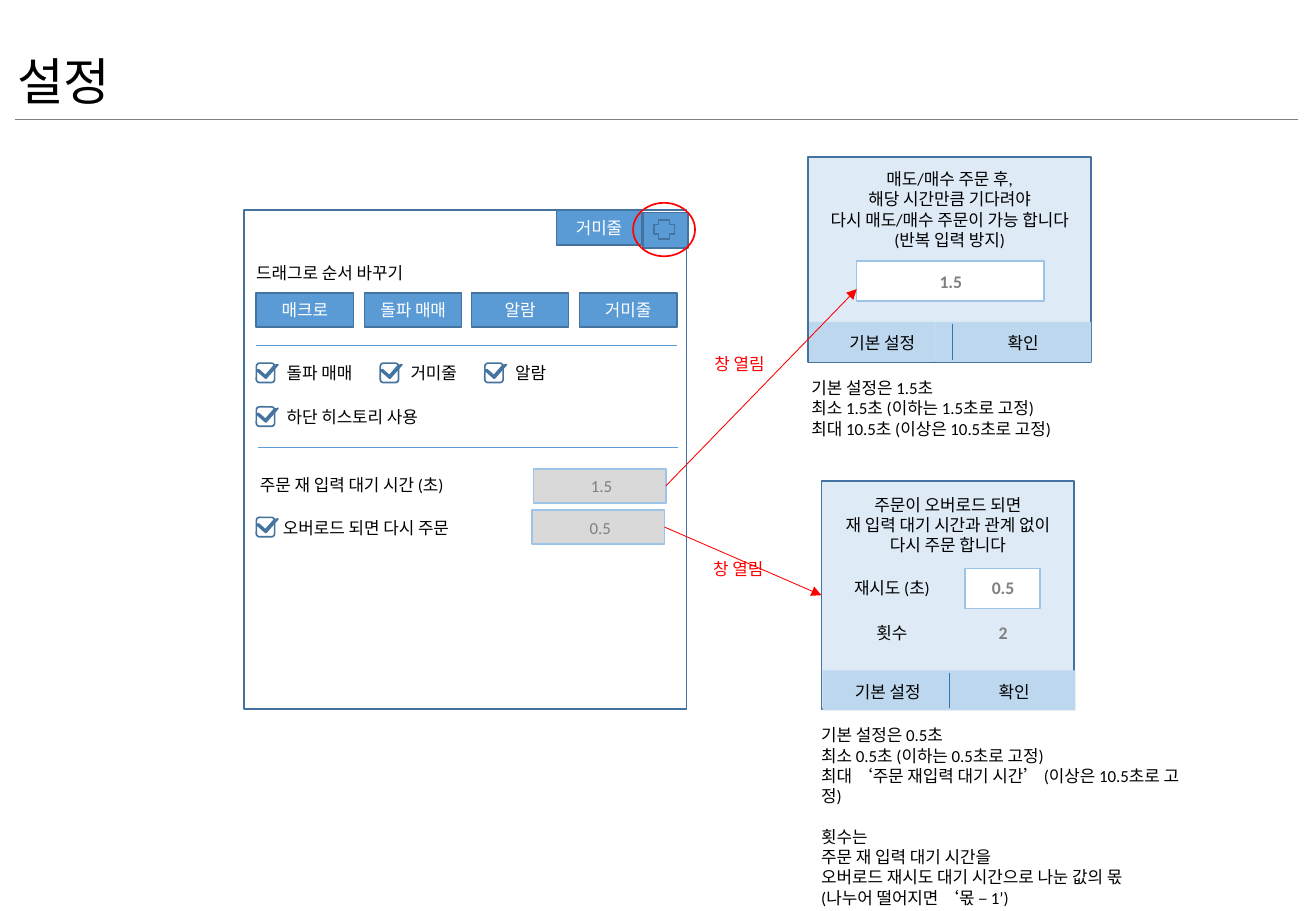
from lxml.etree import SubElement
from pptx import Presentation
from pptx.dml.color import RGBColor
from pptx.enum.shapes import MSO_CONNECTOR as Connector, MSO_SHAPE as Preset
from pptx.enum.text import MSO_ANCHOR as Anchor, MSO_AUTO_SIZE as AutoSize, PP_ALIGN as Align
from pptx.oxml.ns import qn
from pptx.util import Emu, Pt

PX = 9144
BLACK, WHITE, RED, GRAY = "000000", "FFFFFF", "FF0000", "808080"
BLUE, DARK_BLUE, FIELD_BLUE = "5B9BD5", "43739E", "9DC3E6"
PANEL, FOOTER, DIVIDER, DISABLED = "DEEBF7", "BDD7EE", "2E75B6", "D9D9D9"


def px(value):
    return Emu(value * PX)


def color(value):
    return RGBColor.from_string(value)


def write_text(shape, text, size=10, font="Calibri", ink=BLACK, bold=False,
               align=Align.LEFT, anchor=Anchor.TOP, gap_before=None):
    frame = shape.text_frame
    frame.word_wrap = True
    frame.vertical_anchor = anchor
    for index, line in enumerate(text.split("\n")):
        paragraph = frame.add_paragraph() if index else frame.paragraphs[0]
        paragraph.alignment = align
        if line == gap_before:
            paragraph.space_before = Pt(12)
        run = paragraph.add_run()
        run.text = line
        run.font.size = Pt(size)
        run.font.name = font
        run.font.bold = bold
        run.font.color.rgb = color(ink)


def add_label(slide, left, top, width, height, text, **style):
    box = slide.shapes.add_textbox(px(left), px(top), px(width), px(height))
    write_text(box, text, **style)
    box.text_frame.auto_size = AutoSize.SHAPE_TO_FIT_TEXT
    return box


def add_box(slide, left, top, width, height, fill=None, line=None, preset=Preset.RECTANGLE):
    shape = slide.shapes.add_shape(preset, px(left), px(top), px(width), px(height))
    shape.shadow.inherit = False
    if fill:
        shape.fill.solid()
        shape.fill.fore_color.rgb = color(fill)
    else:
        shape.fill.background()
    if line:
        shape.line.color.rgb = color(line)
        shape.line.width = Pt(1)
    else:
        shape.line.fill.background()
    return shape


def add_line(slide, start, end, ink, width=0.5):
    line = slide.shapes.add_connector(Connector.STRAIGHT, *map(px, start + end))
    line.line.color.rgb = color(ink)
    line.line.width = Pt(width)
    SubElement(line._element.spPr, qn("a:effectLst"))
    return line


def add_arrow(slide, start, end, source, target=None):
    arrow = add_line(slide, start, end, RED)
    SubElement(arrow.line._get_or_add_ln(), qn("a:tailEnd"), type="triangle")
    arrow.begin_connect(source, 3)
    if target is not None:
        arrow.end_connect(target, 1)


def add_tab(slide, left, top, width, height, text):
    tab = add_box(slide, left, top, width, height, BLUE, DARK_BLUE)
    write_text(tab, text, ink=WHITE, align=Align.CENTER, anchor=Anchor.MIDDLE)


def add_checkbox(slide, left, top, width, text, indent=15):
    add_box(slide, left, top, 15, 16, WHITE, DARK_BLUE, Preset.ROUNDED_RECTANGLE)
    add_label(slide, left + indent, top - 5, width, 27, text)
    mark = add_box(slide, left + 4, top - 4, 10, 15, BLUE, DARK_BLUE, Preset.HALF_FRAME)
    mark.adjustments[0] = 0.14
    mark.adjustments[1] = 0.17
    mark.rotation = 221.4


def add_waiting_field(slide, left, top, text):
    field = add_box(slide, left, top, 109, 28, DISABLED, FIELD_BLUE)
    add_label(slide, left + 11, top + 1, 90, 27, text, ink=GRAY, align=Align.CENTER)
    return field


def add_value(slide, left, top, width, text):
    add_label(slide, left, top, width, 28, text, size=10.5, ink=GRAY, bold=True,
              align=Align.CENTER)


def add_footer(slide, top, bars, label_lefts, label_width, divider):
    for (left, width), label_left, text in zip(bars, label_lefts, ("기본 설정", "확인")):
        add_box(slide, left, top, width, 33, FOOTER)
        add_label(slide, label_left, top + 4, label_width, 27, text, align=Align.CENTER)
    add_line(slide, (divider, top + 2), (divider, top + 31), DIVIDER)


def add_settings(slide):
    add_box(slide, 201, 173, 364, 411, line=DARK_BLUE)
    add_tab(slide, 458, 173, 70, 29, "거미줄")
    add_box(slide, 529, 175, 37, 29, BLUE, DARK_BLUE)
    add_box(slide, 538, 181, 17, 16, BLUE, DARK_BLUE, Preset.CROSS)
    add_box(slide, 521, 167, 51, 44, line=RED, preset=Preset.OVAL)
    add_label(slide, 201, 211, 168, 27, "드래그로 순서 바꾸기")
    for index, name in enumerate(("매크로", "돌파 매매", "알람", "거미줄")):
        add_tab(slide, round(211 + index * 88.7), 241, 80, 28, name)
    for left, top in ((211, 284), (212, 368)):
        add_line(slide, (left, top), (left + 346, top), BLUE)
    for left, name in ((211, "돌파 매매"), (313, "거미줄"), (399, "알람")):
        add_checkbox(slide, left, 299, 82, name)
    add_checkbox(slide, 211, 335, 162, "하단 히스토리 사용")
    add_label(slide, 204, 386, 180, 27, "주문 재 입력 대기 시간 (초)")
    add_checkbox(slide, 211, 426, 208, "오버로드 되면 다시 주문", indent=12)
    return add_waiting_field(slide, 439, 386, "1.5"), add_waiting_field(slide, 438, 420, "0.5")


def add_wait_dialog(slide):
    add_box(slide, 665, 129, 233, 169, PANEL, DARK_BLUE)
    add_label(slide, 665, 134, 233, 94,
              "매도/매수 주문 후,\n해당 시간만큼 기다려야\n"
              "다시 매도/매수 주문이 가능 합니다\n(반복 입력 방지)", align=Align.CENTER)
    add_box(slide, 705, 215, 154, 33, WHITE, FIELD_BLUE)
    add_value(slide, 730, 218, 105, "1.5")
    add_footer(slide, 265, ((666, 104), (770, 128)), (669, 785), 114, 784)
    add_label(slide, 658, 306, 226, 61,
              "기본 설정은 1.5초\n최소 1.5초 (이하는 1.5초로 고정)\n"
              "최대 10.5초 (이상은 10.5초로 고정)")


def add_overload_dialog(slide):
    panel = add_box(slide, 676, 396, 208, 188, PANEL, DARK_BLUE)
    add_label(slide, 676, 402, 208, 61,
              "주문이 오버로드 되면\n재 입력 대기 시간과 관계 없이\n다시 주문 합니다",
              align=Align.CENTER)
    add_box(slide, 794, 468, 62, 33, WHITE, FIELD_BLUE)
    for top, name, value in ((471, "재시도 (초)", "0.5"), (508, "횟수", "2")):
        add_label(slide, 682, top, 104, 27, name, align=Align.CENTER)
        add_value(slide, 795, top - 1, 61, value)
    add_footer(slide, 552, ((677, 104), (781, 104)), (680, 784), 101, 781)
    add_label(slide, 666, 592, 329, 145,
              "기본 설정은 0.5초\n최소 0.5초 (이하는 0.5초로 고정)\n"
              "최대 ‘주문 재입력 대기 시간’ (이상은 10.5초로 고정)\n"
              "횟수는\n주문 재 입력 대기 시간을\n"
              "오버로드 재시도 대기 시간으로 나눈 값의 몫\n"
              "(나누어 떨어지면 ‘몫 – 1’)", gap_before="횟수는")
    return panel


def main():
    presentation = Presentation()
    presentation.slide_width = px(1083)
    presentation.slide_height = px(750)
    slide = presentation.slides.add_slide(presentation.slide_layouts[5])

    title = slide.shapes.title
    title.left, title.top, title.width, title.height = map(px, (4, 36, 547, 61))
    write_text(title, "설정", size=30, font="Arial")
    add_line(slide, (12, 98), (1068, 98), GRAY, 0.25)

    wait_field, overload_field = add_settings(slide)
    add_wait_dialog(slide)
    overload_panel = add_overload_dialog(slide)
    add_arrow(slide, (548, 400), (705, 238), wait_field)
    add_arrow(slide, (547, 434), (676, 490), overload_field, overload_panel)
    for left, top in ((578, 286), (577, 455)):
        add_label(slide, left, top, 68, 27, "창 열림", ink=RED)

    presentation.save("out.pptx")


if __name__ == "__main__":
    main()
